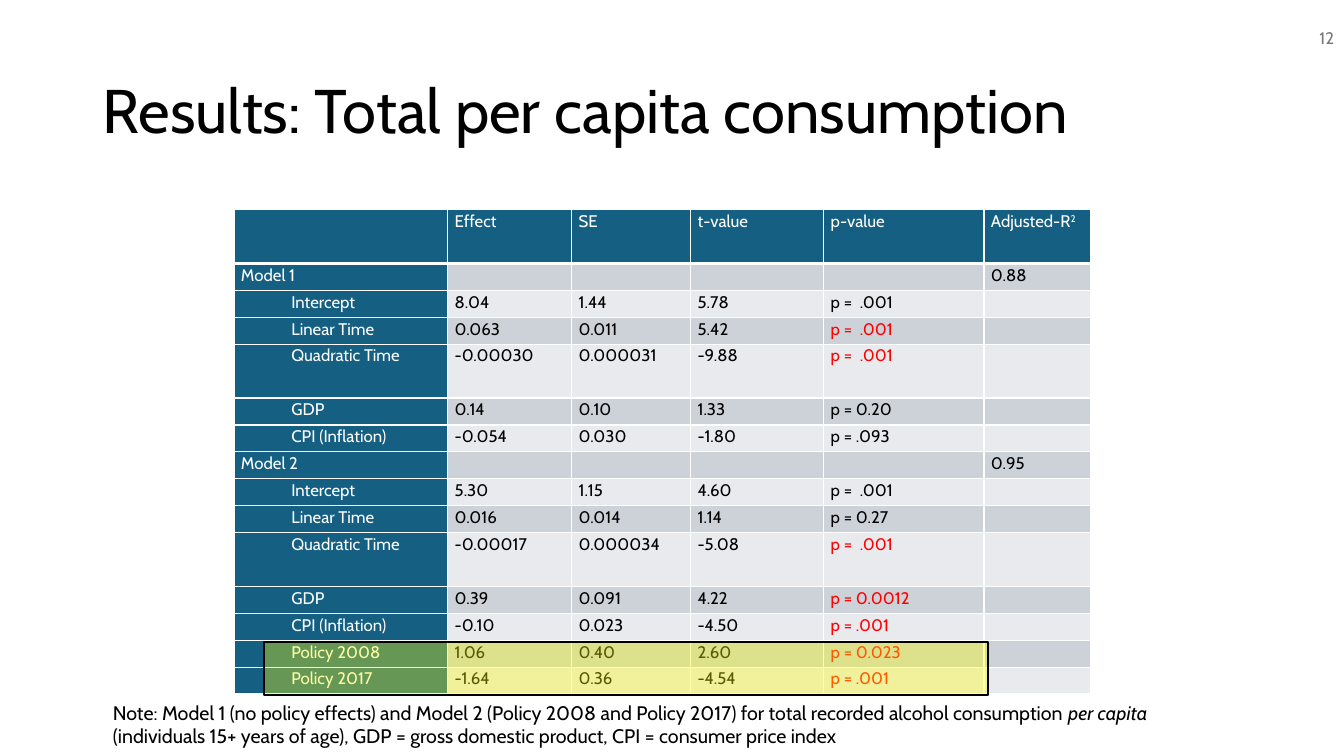
from lxml.etree import SubElement
from pptx import Presentation
from pptx.dml.color import RGBColor
from pptx.enum.shapes import MSO_SHAPE
from pptx.enum.text import MSO_ANCHOR, PP_ALIGN
from pptx.oxml import parse_xml
from pptx.oxml.ns import nsdecls, qn
from pptx.util import Inches, Pt

BLACK = RGBColor(0, 0, 0)
WHITE = RGBColor(255, 255, 255)
RED = RGBColor(255, 0, 0)
GRAY = RGBColor(0x79, 0x79, 0x79)
TEAL = RGBColor(0x15, 0x60, 0x82)
DARK = RGBColor(0xCC, 0xD2, 0xD8)
LIGHT = RGBColor(0xE8, 0xEA, 0xED)
YELLOW = RGBColor(255, 255, 0)

FONT = "Cabin"
WIDTHS = [2.12, 1.23, 1.18, 1.32, 1.59, 1.06]
TABLE_H = 4.81
HEAD = ["", "Effect", "SE", "t-value", "p-value", "Adjusted-R"]
MODELS = [
    ("Model 1", "0.88", [
        ("Intercept", "8.04", "1.44", "5.78", "p =  .001"),
        ("Linear Time", "0.063", "0.011", "5.42", "p =  .001"),
        ("Quadratic Time", "-0.00030", "0.000031", "-9.88", "p =  .001"),
        ("GDP", "0.14", "0.10", "1.33", "p = 0.20"),
        ("CPI (Inflation)", "-0.054", "0.030", "-1.80", "p = .093"),
    ]),
    ("Model 2", "0.95", [
        ("Intercept", "5.30", "1.15", "4.60", "p =  .001"),
        ("Linear Time", "0.016", "0.014", "1.14", "p = 0.27"),
        ("Quadratic Time", "-0.00017", "0.000034", "-5.08", "p =  .001"),
        ("GDP", "0.39", "0.091", "4.22", "p = 0.0012"),
        ("CPI (Inflation)", "-0.10", "0.023", "-4.50", "p = .001"),
        ("Policy 2008", "1.06", "0.40", "2.60", "p = 0.023"),
        ("Policy 2017", "-1.64", "0.36", "-4.54", "p = .001"),
    ]),
]
PLAIN_P = {"p = 0.20", "p = .093", "p = 0.27"}


def add_run(para, text, size, color, italic=False):
    run = para.add_run()
    run.text = text
    look = {"name": FONT, "size": Pt(size), "bold": False, "italic": italic}
    for key, value in look.items():
        setattr(run.font, key, value)
    run.font.color.rgb = color
    return run


def add_text(slide, box, runs, size, color, anchor=MSO_ANCHOR.TOP,
             align=PP_ALIGN.LEFT, spacing=None):
    """Add a wrapped one-paragraph box; runs are (text, italic) pairs."""
    frame = slide.shapes.add_textbox(*map(Inches, box)).text_frame
    frame.word_wrap = True
    frame.vertical_anchor = anchor
    para = frame.paragraphs[0]
    para.alignment = align
    para.line_spacing = spacing
    for text, italic in runs:
        add_run(para, text, size, color, italic)


def set_edges(cell, base):
    """Draw white cell borders; base is the bottom width in points."""
    props = cell._tc.get_or_add_tcPr()
    for i, side in enumerate("LRTB"):
        width = Pt(base if side == "B" else 1)
        props.insert(i, parse_xml(
            f'<a:ln{side} {nsdecls("a")} w="{width}"><a:solidFill>'
            f'<a:srgbClr val="{WHITE}"/></a:solidFill></a:ln{side}>'))


def fill_cell(cell, text, color, fill, indent=False, base=1):
    cell.fill.solid()
    cell.fill.fore_color.rgb = fill
    set_edges(cell, base)
    cell.margin_left = cell.margin_right = Inches(0.07)
    cell.margin_top = cell.margin_bottom = 0
    para = cell.text_frame.paragraphs[0]
    para.line_spacing = 1.07
    if indent:
        para._p.get_or_add_pPr().set("marL", str(Inches(0.5)))
    if text:
        add_run(para, text, 12, color)
    else:
        SubElement(para._p, qn("a:endParaRPr"), sz="1200")


def list_rows():
    rows = [HEAD]
    for model, fit, terms in MODELS:
        rows.append([model, "", "", "", "", fit])
        rows += [[*term, ""] for term in terms]
    return rows


def p_color(row):
    first = row[:2] == ["Intercept", "8.04"] or row[:2] == ["Intercept", "5.30"]
    return BLACK if first or row[4] in PLAIN_P else RED


def add_results(slide):
    rows = list_rows()
    table = slide.shapes.add_table(
        len(rows), len(HEAD), Inches(2.32), Inches(2.08),
        Inches(sum(WIDTHS)), Inches(TABLE_H)).table
    table.first_row = table.horz_banding = False
    for col, width in zip(table.columns, WIDTHS):
        col.width = Inches(width)
    spans = [2 if row[0] in ("", "Quadratic Time") else 1 for row in rows]
    for r, row in enumerate(rows):
        table.rows[r].height = Inches(TABLE_H * spans[r] / sum(spans))
        for c, text in enumerate(row):
            label = r == 0 or c == 0
            fill = TEAL if label else DARK if r % 2 else LIGHT
            color = WHITE if label else p_color(row) if c == 4 else BLACK
            indent = c == 0 and r > 0 and not text.startswith("Model")
            fill_cell(table.cell(r, c), text, color, fill, indent,
                      3 if r == 0 else 1)
    para = table.cell(0, 5).text_frame.paragraphs[0]
    power = add_run(para, "2", 12, WHITE)
    power._r.get_or_add_rPr().set("baseline", "30000")


def add_marker(slide, box):
    """Add the see-through highlight over the policy rows."""
    mark = slide.shapes.add_shape(MSO_SHAPE.RECTANGLE, *map(Inches, box))
    mark.shadow.inherit = False
    mark.fill.solid()
    mark.fill.fore_color.rgb = YELLOW
    tint = mark._element.spPr.find(qn("a:solidFill"))[0]
    SubElement(tint, qn("a:alpha"), val="35000")
    mark.line.color.rgb = BLACK
    mark.line.width = Pt(1.5)


def main():
    deck = Presentation()
    deck.slide_width, deck.slide_height = Inches(13.33), Inches(7.5)
    slide = deck.slides.add_slide(deck.slide_layouts[6])
    add_text(slide, (0.92, 0.4, 11.5, 1.45),
             [("Results: Total per capita consumption", False)],
             44, BLACK, MSO_ANCHOR.MIDDLE, spacing=0.9)
    add_results(slide)
    add_text(slide, (1.02, 6.9, 11.09, 0.57), [
        ("Note: Model 1 (no policy effects) and Model 2 (Policy 2008 and "
         "Policy 2017) for total recorded alcohol consumption ", False),
        ("per capita ", True),
        ("(individuals 15+ years of age), GDP = gross domestic product, "
         "CPI = consumer price index", False)], 14, BLACK)
    add_text(slide, (12.52, -0.02, 0.81, 0.8), [("12", False)],
             12, GRAY, MSO_ANCHOR.MIDDLE, PP_ALIGN.RIGHT)
    add_marker(slide, (2.62, 6.37, 7.18, 0.53))
    deck.save("out.pptx")


if __name__ == "__main__":
    main()
